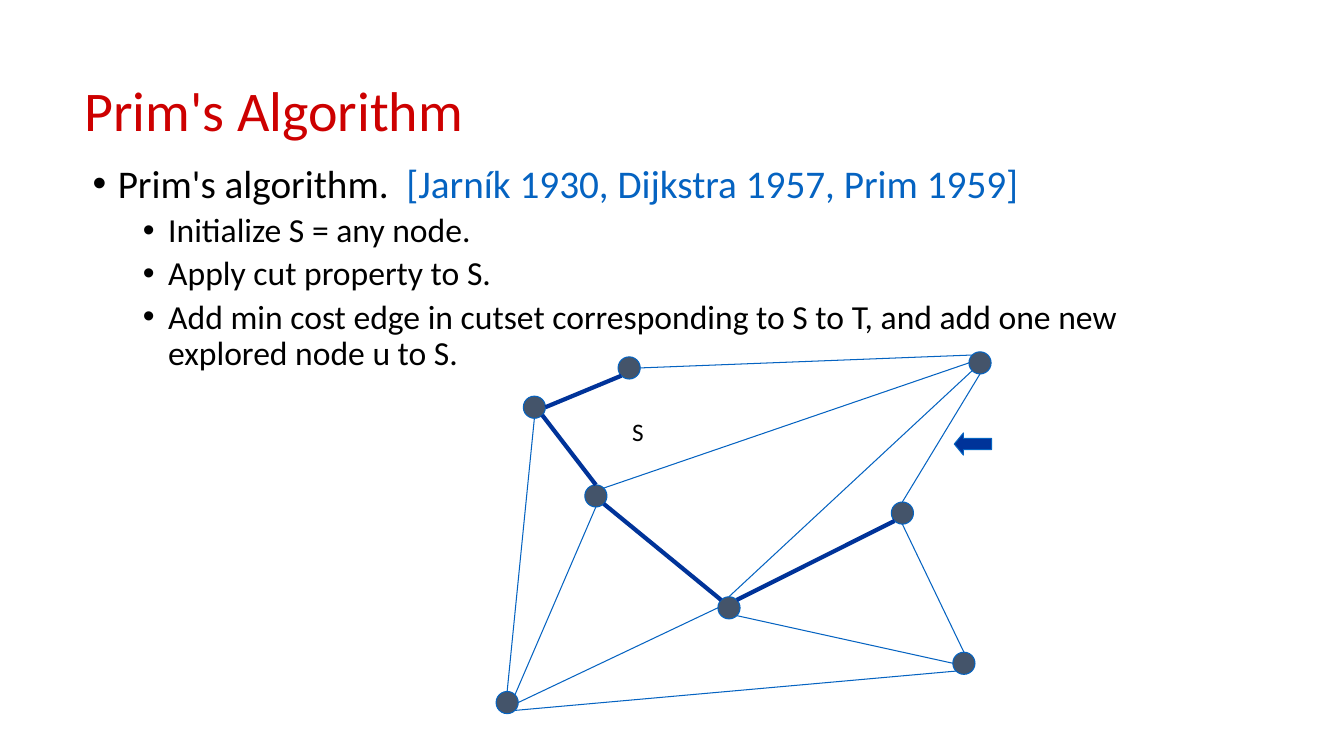
"""Build the slide on Prim's algorithm with its graph and spanning tree edges."""
from dataclasses import dataclass
from math import cos, radians, sin

from lxml.etree import SubElement
from pptx import Presentation
from pptx.dml.color import RGBColor
from pptx.enum.shapes import MSO_CONNECTOR as Connector, MSO_SHAPE as Preset
from pptx.enum.text import MSO_ANCHOR as Anchor
from pptx.oxml.ns import qn
from pptx.util import Inches, Pt

FONT = "Calibri"
BLACK, RED, BLUE, NAVY, SLATE = "000000", "CD0000", "0563C1", "003399", "44546A"
NODE_SIZE = 0.22
ANGLES = {"E": 0, "SE": 45, "S": 90, "SW": 135, "W": 180, "NW": 225, "N": 270, "NE": 315}


@dataclass(frozen=True)
class Node:
    x: float
    y: float

    def site(self, direction: str) -> tuple[float, float]:
        angle = radians(ANGLES[direction])
        return (self.x + NODE_SIZE / 2 * cos(angle), self.y + NODE_SIZE / 2 * sin(angle))


@dataclass(frozen=True)
class Edge:
    start: str
    start_side: str
    end: str
    end_side: str
    in_tree: bool = False


@dataclass(frozen=True)
class Bullet:
    runs: tuple[tuple[str, str], ...]
    level: int = 1
    size: int = 24
    space_before: int = 5


NODES = {
    "upper left": Node(5.3, 4.04),
    "upper right": Node(9.72, 3.6),
    "lower right": Node(9.56, 6.58),
    "top": Node(6.24, 3.65),
    "inner": Node(5.91, 4.92),
    "lower left": Node(5.03, 6.97),
    "right": Node(8.95, 5.09),
    "hub": Node(7.23, 6.03),
}

EDGES = [
    Edge("upper left", "E", "top", "SW", in_tree=True),
    Edge("upper left", "SE", "inner", "N", in_tree=True),
    Edge("upper left", "S", "lower left", "N"),
    Edge("inner", "NE", "upper right", "W"),
    Edge("right", "N", "upper right", "S"),
    Edge("inner", "SE", "hub", "NW", in_tree=True),
    Edge("hub", "SE", "lower right", "W"),
    Edge("hub", "NE", "right", "SW", in_tree=True),
    Edge("right", "S", "lower right", "N"),
    Edge("upper right", "SW", "hub", "N"),
    Edge("inner", "S", "lower left", "NE"),
    Edge("lower left", "E", "hub", "W"),
    Edge("top", "E", "upper right", "NW"),
    Edge("lower left", "SE", "lower right", "SW"),
]

BULLETS = [
    Bullet((("Prim's algorithm.  ", BLACK),
            ("[Jarník 1930, Dijkstra 1957, Prim 1959]", BLUE)), 0, 28, 0),
    Bullet((("Initialize S = any node.", BLACK),)),
    Bullet((("Apply cut property to S.", BLACK),)),
    Bullet((("Add min cost edge in cutset corresponding to S to T, "
             "and add one new explored node u to S.", BLACK),)),
]


def color(value: str) -> RGBColor:
    return RGBColor.from_string(value)


def add_text_frame(slide, left: float, top: float, width: float, height: float, wrap: bool = True):
    box = slide.shapes.add_textbox(Inches(left), Inches(top), Inches(width), Inches(height))
    box.text_frame.word_wrap = wrap
    return box.text_frame


def write_line(frame, text: str, size: int, text_color: str):
    paragraph = frame.paragraphs[0]
    paragraph.text = text
    paragraph.font.name = FONT
    paragraph.font.size = Pt(size)
    paragraph.font.color.rgb = color(text_color)
    return paragraph


def write_bullet(paragraph, bullet: Bullet) -> None:
    properties = paragraph._p.get_or_add_pPr()
    properties.set("marL", str(Inches(0.25 + 0.5 * bullet.level)))
    properties.set("indent", str(Inches(-0.25)))
    SubElement(properties, qn("a:buFont"), typeface="Arial")
    SubElement(properties, qn("a:buChar"), char="•")
    paragraph.level = bullet.level
    paragraph.line_spacing = 0.9
    paragraph.space_before = Pt(bullet.space_before)
    paragraph.font.name = FONT
    paragraph.font.size = Pt(bullet.size)
    for text, text_color in bullet.runs:
        run = paragraph.add_run()
        run.text = text
        run.font.color.rgb = color(text_color)


def add_filled_shape(slide, preset: Preset, left: float, top: float,
                     width: float, height: float, fill: str):
    shape = slide.shapes.add_shape(preset, Inches(left), Inches(top), Inches(width), Inches(height))
    shape.shadow.inherit = False
    shape.fill.solid()
    shape.fill.fore_color.rgb = color(fill)
    shape.line.color.rgb = color(BLUE)
    shape.line.width = Pt(0.75)
    return shape


def add_edge(slide, edge: Edge) -> None:
    start = NODES[edge.start].site(edge.start_side)
    end = NODES[edge.end].site(edge.end_side)
    connector = slide.shapes.add_connector(
        Connector.STRAIGHT, *(Inches(value) for value in start + end))
    connector.line.color.rgb = color(NAVY if edge.in_tree else BLUE)
    connector.line.width = Pt(3 if edge.in_tree else 0.75)
    SubElement(connector._element.spPr, qn("a:effectLst"))


def main() -> None:
    presentation = Presentation()
    presentation.slide_width = Inches(13.33)
    presentation.slide_height = Inches(7.5)
    slide = presentation.slides.add_slide(presentation.slide_layouts[6])

    title = add_text_frame(slide, 0.74, 0.4, 11.5, 1.45)
    title.vertical_anchor = Anchor.MIDDLE
    write_line(title, "Prim's Algorithm", 40, RED).line_spacing = 0.9

    body = add_text_frame(slide, 0.82, 1.58, 11.5, 4.76)
    for index, bullet in enumerate(BULLETS):
        write_bullet(body.add_paragraph() if index else body.paragraphs[0], bullet)

    for node in NODES.values():
        add_filled_shape(slide, Preset.OVAL, node.x - NODE_SIZE / 2, node.y - NODE_SIZE / 2,
                         NODE_SIZE, NODE_SIZE, SLATE)
    for edge in EDGES:
        add_edge(slide, edge)

    arrow = add_filled_shape(slide, Preset.UP_ARROW, 9.54, 4.22, 0.22, 0.37, NAVY)
    arrow.rotation = 270
    arrow.adjustments[1] = 0.415

    write_line(add_text_frame(slide, 6.17, 4.08, 0.32, 0.4, wrap=False), "S", 18, BLACK)
    presentation.save("out.pptx")


if __name__ == "__main__":
    main()
